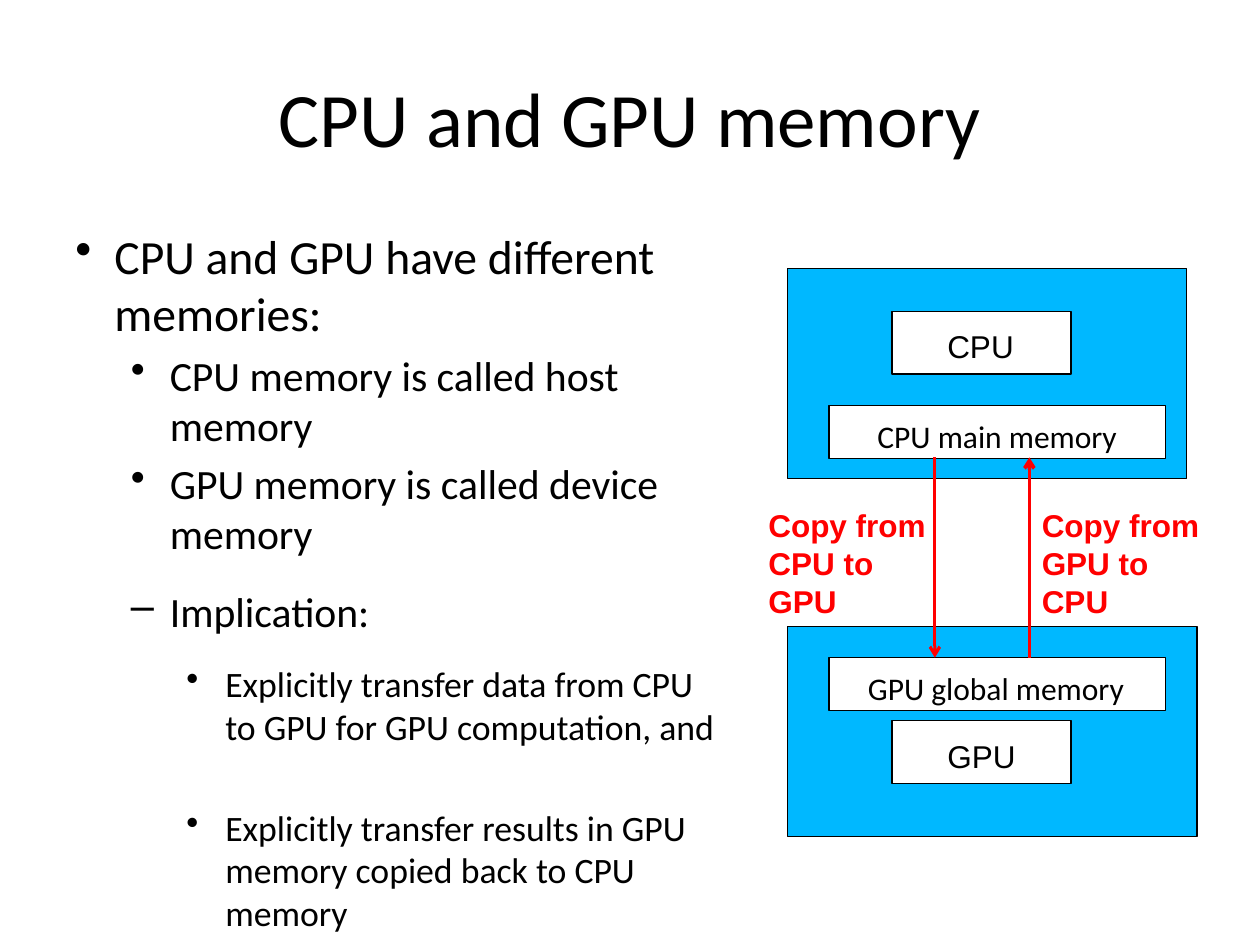
from lxml.etree import SubElement
from pptx import Presentation
from pptx.dml.color import RGBColor
from pptx.enum.shapes import MSO_CONNECTOR, MSO_SHAPE
from pptx.enum.text import MSO_ANCHOR, PP_ALIGN
from pptx.oxml.ns import qn
from pptx.util import Inches, Pt

BLACK, WHITE, RED, BLUE = "000000", "FFFFFF", "FF0000", "00B8FF"

TITLE = "CPU and GPU memory"
# level, bullet, space before in points, text
BULLETS = [
    (0, "•", 5.4, "CPU and GPU have different memories:"),
    (1, "•", 4.8, "CPU memory is called host memory"),
    (1, "•", 4.8, "GPU memory is called device memory"),
    (1, "–", 15.8, "Implication:"),
    (2, "•", 15.1, "Explicitly transfer data from CPU to GPU for GPU computation, and"),
    (2, "•", 33, "Explicitly transfer results in GPU memory copied back to CPU memory"),
]
LEVEL_SIZES = [27.2, 23.8, 20.4]
HANG, LEVEL_STEP = 0.31, 0.44

# left, top, width, height, fill
PANELS = [
    (6.25, 2.13, 3.17, 1.67, BLUE),
    (6.25, 4.97, 3.25, 1.67, BLUE),
    (6.58, 3.22, 2.67, 0.42, WHITE),
    (6.58, 5.22, 2.67, 0.42, WHITE),
    (7.08, 5.72, 1.42, 0.5, WHITE),
    (7.08, 2.47, 1.42, 0.5, WHITE),
]
# x, start y, end y, line width in points
ARROWS = [(7.42, 3.63, 5.22, 1.75), (8.17, 5.22, 3.63, 2)]
# text, left, top, width, height, font, colour, bold, wrap, alignment
LABELS = [
    ("Copy from CPU to GPU", 6, 3.97, 1.5, 0.89, "Arial", RED, True, True, PP_ALIGN.LEFT),
    ("Copy from GPU to CPU", 8.17, 3.97, 1.5, 0.89, "Arial", RED, True, True, PP_ALIGN.LEFT),
    ("GPU", 7.42, 5.8, 0.75, 0.36, "Arial", BLACK, False, False, PP_ALIGN.LEFT),
    ("CPU", 7.42, 2.55, 0.73, 0.36, "Arial", BLACK, False, False, PP_ALIGN.LEFT),
    ("CPU main memory", 6.75, 3.26, 2.33, 0.36, "Calibri", BLACK, False, False, PP_ALIGN.CENTER),
    ("GPU global memory", 6.67, 5.26, 2.47, 0.36, "Calibri", BLACK, False, False, PP_ALIGN.CENTER),
]


def color(value):
    """Turn a hex string into a colour."""
    return RGBColor.from_string(value)


def inches(*values):
    """Turn plain numbers into lengths."""
    return [Inches(value) for value in values]


def set_font(para, name, size, value=BLACK, bold=False):
    """Set the font of a whole paragraph."""
    font = para.font
    font.name, font.size, font.bold = name, Pt(size), bold
    font.color.rgb = color(value)


def add_title(slide):
    """Place and format the title placeholder."""
    title = slide.shapes.title
    title.left, title.top, title.width, title.height = inches(0.5, 0.3, 9, 1.25)
    title.text_frame.text = TITLE
    title.text_frame.vertical_anchor = MSO_ANCHOR.MIDDLE
    para = title.text_frame.paragraphs[0]
    para.alignment = PP_ALIGN.CENTER
    set_font(para, "Calibri", 44)


def add_bullets(slide):
    """Write the bulleted list, one paragraph per item."""
    frame = slide.shapes.add_textbox(*inches(0.5, 1.75, 5.33, 4.95)).text_frame
    frame.word_wrap = True
    for index, (level, bullet, space, text) in enumerate(BULLETS):
        para = frame.add_paragraph() if index else frame.paragraphs[0]
        para.text, para.level, para.space_before = text, level, Pt(space)
        set_font(para, "Calibri", LEVEL_SIZES[level])
        props = para._p.get_or_add_pPr()
        props.set("marL", str(Inches(HANG + level * LEVEL_STEP)))
        props.set("indent", str(-Inches(HANG)))
        mark = SubElement(props, qn("a:buChar"), char=bullet)
        props.find(qn("a:defRPr")).addprevious(mark)


def add_panel(slide, left, top, width, height, fill):
    """Draw one outlined rectangle."""
    panel = slide.shapes.add_shape(MSO_SHAPE.RECTANGLE, *inches(left, top, width, height))
    panel.shadow.inherit = False
    panel.fill.solid()
    panel.fill.fore_color.rgb = color(fill)
    panel.line.color.rgb = color(BLACK)
    panel.line.width = Pt(0.75)


def add_arrow(slide, x, start, end, width):
    """Draw one vertical arrow."""
    arrow = slide.shapes.add_connector(MSO_CONNECTOR.STRAIGHT, *inches(x, start, x, end))
    arrow.line.color.rgb = color(RED)
    arrow.line.width = Pt(width)
    SubElement(arrow.line._get_or_add_ln(), qn("a:tailEnd"), type="arrow")
    SubElement(arrow._element.spPr, qn("a:effectLst"))


def add_label(slide, text, left, top, width, height, font, value, bold, wrap, alignment):
    """Write one label of the diagram."""
    frame = slide.shapes.add_textbox(*inches(left, top, width, height)).text_frame
    frame.word_wrap = wrap
    frame.text = text
    para = frame.paragraphs[0]
    para.alignment = alignment
    set_font(para, font, 18, value, bold)


deck = Presentation()
deck.slide_width, deck.slide_height = inches(10, 7.5)
page = deck.slides.add_slide(deck.slide_layouts[5])
add_title(page)
add_bullets(page)
for add_part, parts in ((add_panel, PANELS), (add_arrow, ARROWS), (add_label, LABELS)):
    for part in parts:
        add_part(page, *part)
deck.save("out.pptx")
